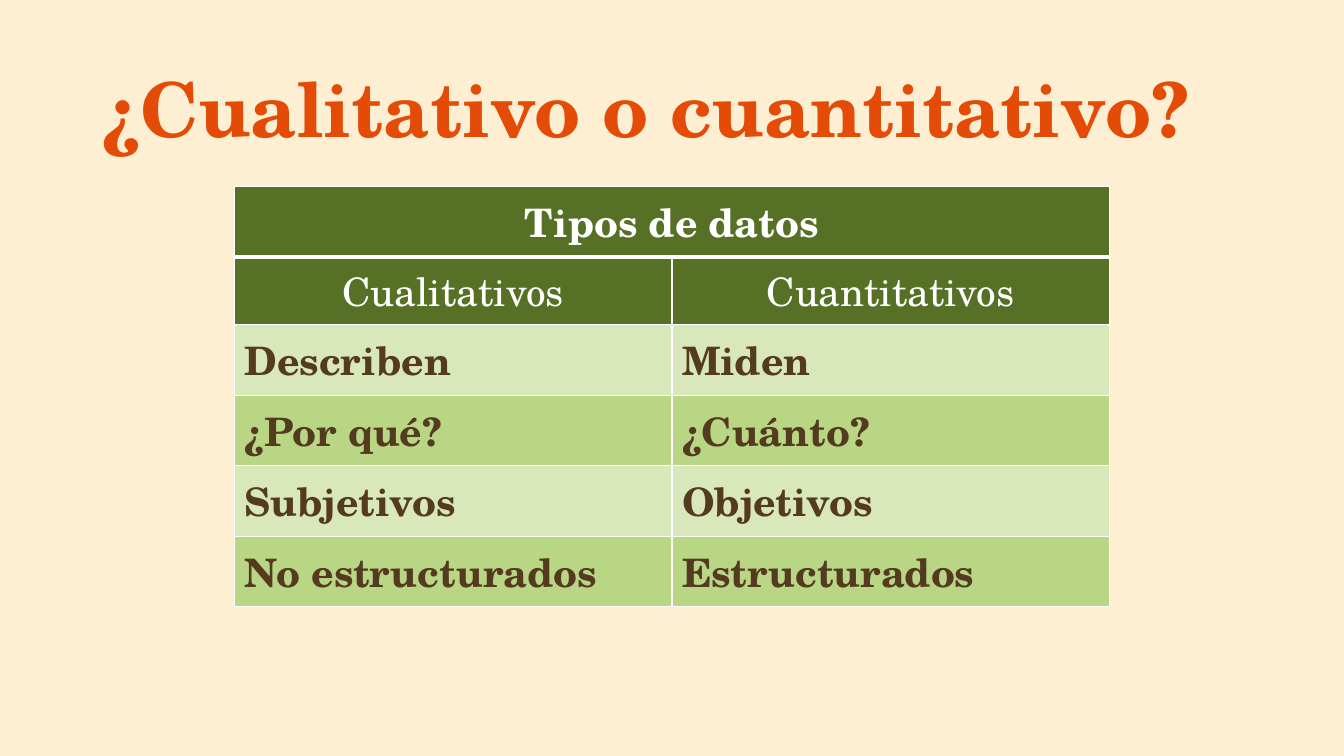
from dataclasses import dataclass

from lxml.etree import SubElement
from pptx import Presentation
from pptx.dml.color import RGBColor
from pptx.enum.text import MSO_ANCHOR, PP_ALIGN
from pptx.oxml.ns import qn
from pptx.slide import Slide
from pptx.table import _Cell
from pptx.text.text import _Paragraph
from pptx.util import Pt

FONT = "TeX Gyre Schola"
CREAM = RGBColor(0xFE, 0xEF, 0xD2)
ORANGE = RGBColor(0xE3, 0x4B, 0x07)
WHITE = RGBColor(0xFF, 0xFF, 0xFF)
BROWN = RGBColor(0x54, 0x3B, 0x20)
DARK_GREEN = RGBColor(0x56, 0x71, 0x25)
PALE_GREEN = RGBColor(0xD8, 0xE8, 0xBA)
LIGHT_GREEN = RGBColor(0xB9, 0xD6, 0x84)

COLUMN_WIDTH = Pt(312.5)
ROW_HEIGHT = Pt(29.2)
THIN = Pt(1)
THICK = Pt(3)


@dataclass(frozen=True)
class RowStyle:
    fill: RGBColor
    color: RGBColor
    bold: bool
    align: PP_ALIGN
    top: int = THIN
    bottom: int = THIN


@dataclass(frozen=True)
class DataRow:
    texts: tuple[str, ...]
    style: RowStyle


HEADING = RowStyle(DARK_GREEN, WHITE, True, PP_ALIGN.CENTER, bottom=THICK)
SUBHEADING = RowStyle(DARK_GREEN, WHITE, False, PP_ALIGN.CENTER, top=THICK)
PALE = RowStyle(PALE_GREEN, BROWN, True, PP_ALIGN.LEFT)
LIGHT = RowStyle(LIGHT_GREEN, BROWN, True, PP_ALIGN.LEFT)

ROWS = (
    DataRow(("Tipos de datos", ""), HEADING),
    DataRow(("Cualitativos", "Cuantitativos"), SUBHEADING),
    DataRow(("Describen", "Miden"), PALE),
    DataRow(("¿Por qué?", "¿Cuánto?"), LIGHT),
    DataRow(("Subjetivos", "Objetivos"), PALE),
    DataRow(("No estructurados", "Estructurados"), LIGHT),
)


def add_span(para: _Paragraph, text: str, size: int, color: RGBColor, bold: bool) -> None:
    span = para.add_run()
    span.text = text
    span.font.name = FONT
    span.font.size = Pt(size)
    span.font.bold = bold
    span.font.color.rgb = color


def set_borders(cell: _Cell, style: RowStyle) -> None:
    properties = cell._tc.get_or_add_tcPr()
    edges = {"a:lnL": THIN, "a:lnR": THIN, "a:lnT": style.top, "a:lnB": style.bottom}
    for edge, width in edges.items():
        line = SubElement(properties, qn(edge), w=str(int(width)))
        fill = SubElement(line, qn("a:solidFill"))
        SubElement(fill, qn("a:srgbClr"), val=str(WHITE))


def format_cell(cell: _Cell, text: str, style: RowStyle) -> None:
    set_borders(cell, style)
    cell.fill.solid()
    cell.fill.fore_color.rgb = style.fill
    cell.vertical_anchor = MSO_ANCHOR.MIDDLE
    if text:
        para = cell.text_frame.paragraphs[0]
        para.alignment = style.align
        add_span(para, text, 28, style.color, style.bold)


def add_title(page: Slide) -> None:
    box = page.shapes.title
    box.left, box.top, box.width, box.height = Pt(66), Pt(28.8), Pt(828), Pt(104.4)
    box.text_frame.vertical_anchor = MSO_ANCHOR.MIDDLE
    para = box.text_frame.paragraphs[0]
    para.alignment = PP_ALIGN.LEFT
    para.line_spacing = 0.9
    add_span(para, "¿Cualitativo o cuantitativo?", 54, ORANGE, True)


def add_data_table(page: Slide) -> None:
    frame = page.shapes.add_table(
        len(ROWS), 2, Pt(167.5), Pt(133.2), COLUMN_WIDTH * 2, ROW_HEIGHT * len(ROWS)
    )
    table = frame.table
    table.horz_banding = False
    for column in table.columns:
        column.width = COLUMN_WIDTH
    for row, data in zip(table.rows, ROWS):
        row.height = ROW_HEIGHT
        for cell, text in zip(row.cells, data.texts):
            format_cell(cell, text, data.style)
    table.cell(0, 0).merge(table.cell(0, 1))
    frame.height = Pt(244.8)


def main() -> None:
    deck = Presentation()
    deck.slide_width, deck.slide_height = Pt(960), Pt(540)
    page = deck.slides.add_slide(deck.slide_layouts[5])
    page.background.fill.solid()
    page.background.fill.fore_color.rgb = CREAM
    add_title(page)
    add_data_table(page)
    deck.save("out.pptx")


if __name__ == "__main__":
    main()
